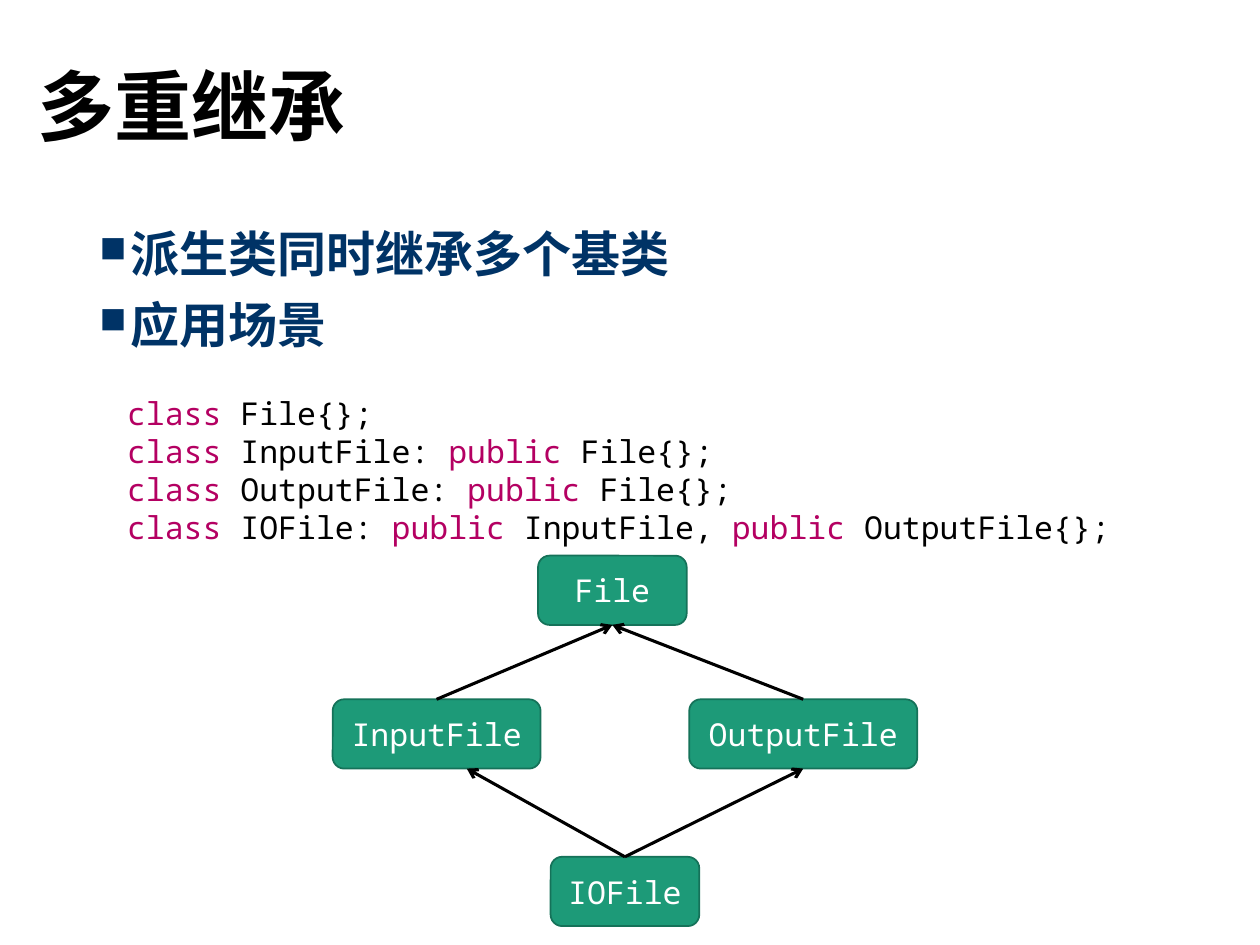
from lxml.etree import SubElement
from pptx import Presentation
from pptx.dml.color import RGBColor
from pptx.enum.shapes import MSO_CONNECTOR, MSO_SHAPE
from pptx.enum.text import MSO_ANCHOR, PP_ALIGN
from pptx.oxml.ns import qn
from pptx.util import Inches, Pt

COLORS = {"ink": "000000", "navy": "003366", "keyword": "B40062",
          "green": "1D9A78", "edge": "157259", "white": "FFFFFF"}
SANS, MONO = "Noto Sans CJK SC", "Noto Sans Mono"
KEYWORDS = {"class", "public"}
COLS, ROWS = 100, 75


def rgb(name):
    """Return a named colour."""
    return RGBColor.from_string(COLORS[name])


def assign(obj, values):
    """Set attributes from a dict of format values."""
    for key, value in values.items():
        setattr(obj, key, value)


class Deck:
    """Style and current slide, measured on a grid of columns and rows."""

    def __init__(self):
        """Open a presentation with one blank slide."""
        self.prs = Presentation()
        assign(self.prs, {"slide_width": Inches(10), "slide_height": Inches(7.5)})
        self.s = self.prs.slides.add_slide(self.prs.slide_layouts[6])

    def grid(self, x, y):
        """Turn a column and a row into slide lengths."""
        return (round(self.prs.slide_width * x / COLS),
                round(self.prs.slide_height * y / ROWS))

    def run(self, p, words, size, color, font=MONO, bold=False):
        """Add a run in one style."""
        r = p.add_run()
        r.text = words
        assign(r.font, {"size": Pt(size), "name": font, "bold": bold})
        r.font.color.rgb = rgb(color)
        SubElement(r.font._element, qn("a:ea"), typeface=SANS)

    def text(self, x, y, w, h, lines, anchor=MSO_ANCHOR.TOP, spacing=None):
        """Add a text box; each line is a list of (words, style) runs."""
        sp = self.s.shapes.add_textbox(*self.grid(x, y), *self.grid(w, h))
        tf = sp.text_frame
        assign(tf, {"word_wrap": True, "vertical_anchor": anchor})
        for i, line in enumerate(lines):
            p = tf.paragraphs[0] if i == 0 else tf.add_paragraph()
            assign(p, spacing or {})
            for words, style in line:
                self.run(p, words, **style)
        return tf

    def bullets(self, x, y, w, h, items, style):
        """Add a list with square bullets."""
        tf = self.text(x, y, w, h, [[(item, style)] for item in items],
                       spacing={"line_spacing": 0.9, "space_before": Pt(10)})
        for p in tf.paragraphs:
            pPr = p._p.get_or_add_pPr()
            pPr.set("marL", str(Inches(0.25)))
            pPr.set("indent", str(-Inches(0.25)))
            SubElement(pPr, qn("a:buSzPct"), val="75000")
            SubElement(pPr, qn("a:buChar"), char="■")

    def code(self, x, y, w, h, lines):
        """Add source code with coloured keywords."""
        def runs(line):
            """Split a line into words and pick their colours."""
            words = line.split()
            for i, word in enumerate(words):
                color = "keyword" if word in KEYWORDS else "ink"
                gap = " " if i < len(words) - 1 else ""
                yield word + gap, {"size": 18, "color": color}
        self.text(x, y, w, h, [runs(line) for line in lines])

    def box(self, name, x, y, w, h):
        """Add a labelled class box."""
        sp = self.s.shapes.add_shape(MSO_SHAPE.ROUNDED_RECTANGLE,
                                     *self.grid(x, y), *self.grid(w, h))
        sp.shadow.inherit = False
        sp.fill.solid()
        sp.fill.fore_color.rgb = rgb("green")
        sp.line.color.rgb = rgb("edge")
        sp.line.width = Pt(1)
        tf = sp.text_frame
        assign(tf, {"word_wrap": True, "vertical_anchor": MSO_ANCHOR.MIDDLE})
        p = tf.paragraphs[0]
        p.alignment = PP_ALIGN.CENTER
        self.run(p, name, 18, "white")

    def arrow(self, start, end):
        """Add an open-headed arrow between two grid points."""
        cn = self.s.shapes.add_connector(MSO_CONNECTOR.STRAIGHT,
                                         *self.grid(*start), *self.grid(*end))
        cn.line.color.rgb = rgb("ink")
        cn.line.width = Pt(1.75)
        SubElement(cn.line._get_or_add_ln(), qn("a:tailEnd"), type="arrow")
        SubElement(cn._element.spPr, qn("a:effectLst"))


def main():
    """Build the slide on multiple inheritance."""
    deck = Deck()
    deck.bullets(6.9, 17.8, 88, 51.9, ["派生类同时继承多个基类", "应用场景"],
                 {"size": 28, "color": "navy", "bold": True})
    title = {"size": 44, "color": "ink", "font": SANS, "bold": True}
    deck.text(2, 1.5, 86.2, 14.5, [[("多重继承", title)]],
              MSO_ANCHOR.MIDDLE, {"line_spacing": 0.9})
    deck.code(9.1, 30.8, 85.8, 13.1, [
        "class File{};",
        "class InputFile: public File{};",
        "class OutputFile: public File{};",
        "class IOFile: public InputFile, public OutputFile{};"])

    height = 5.5
    classes = {"InputFile": (26.4, 55.5, 16.5), "OutputFile": (54.7, 55.5, 18.1),
               "File": (42.7, 44.1, 11.8), "IOFile": (43.7, 68, 11.8)}
    for name, (x, y, w) in classes.items():
        deck.box(name, x, y, w, height)

    # Each arrow runs from a derived class up to its base class.
    for derived, base, shift in [("IOFile", "InputFile", 2.4), ("IOFile", "OutputFile", 0),
                                 ("InputFile", "File", 0), ("OutputFile", "File", 0)]:
        (x1, y1, w1), (x2, y2, w2) = classes[derived], classes[base]
        deck.arrow((x1 + w1 / 2, y1), (x2 + w2 / 2 + shift, y2 + height))
    deck.prs.save("out.pptx")


main()
